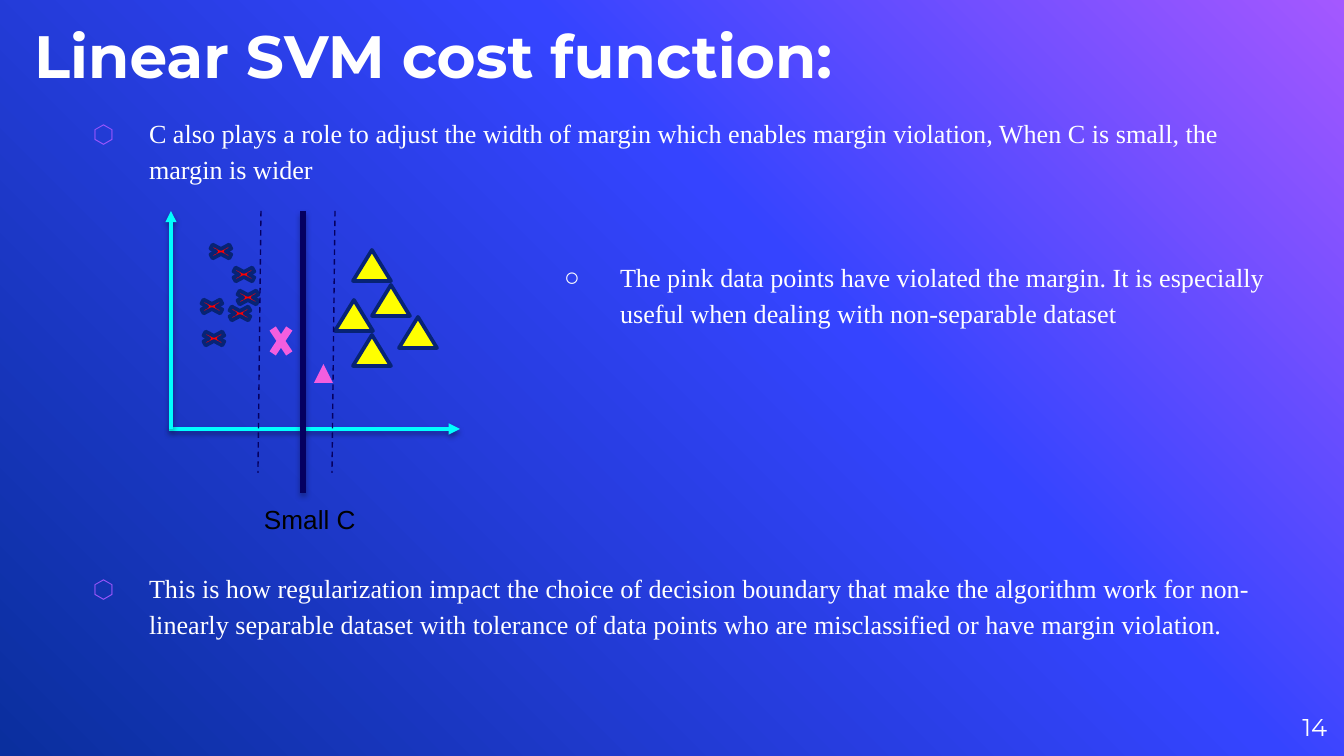
from copy import deepcopy
from dataclasses import dataclass

from lxml import etree
from pptx import Presentation
from pptx.dml.color import RGBColor
from pptx.enum.dml import MSO_LINE
from pptx.enum.shapes import MSO_CONNECTOR, MSO_SHAPE
from pptx.enum.text import MSO_ANCHOR, MSO_AUTO_SIZE, PP_ALIGN
from pptx.oxml.ns import qn
from pptx.util import Pt

TOP, MIDDLE, BOTTOM = MSO_ANCHOR.TOP, MSO_ANCHOR.MIDDLE, MSO_ANCHOR.BOTTOM
LEFT, RIGHT = PP_ALIGN.LEFT, PP_ALIGN.RIGHT
CROSS, TRIANGLE = MSO_SHAPE.MATH_MULTIPLY, MSO_SHAPE.ISOSCELES_TRIANGLE
STRAIGHT, DASH, FIXED = MSO_CONNECTOR.STRAIGHT, MSO_LINE.DASH, MSO_AUTO_SIZE.NONE
SCALE = 914400 / 134.4


@dataclass(frozen=True)
class Theme:
    white: str = "FFFFFF"
    black: str = "000000"
    violet: str = "A458FF"
    cyan: str = "00FFFF"
    red: str = "FF0000"
    yellow: str = "FFFF00"
    pink: str = "F45EDF"
    edge: str = "072375"
    navy: str = "050060"
    stops: tuple = ((0, "A458FF"), (0.39, "3544FF"), (1, "0A2F9E"))
    head: str = "Montserrat"
    body: str = "Times New Roman"
    plain: str = "Arial"
    big: int = 32
    mid: int = 14
    small: int = 13


T = Theme()

TITLE = "Linear SVM cost function:"
POINTS = [
    dict(text="C also plays a role to adjust the width of margin which enables "
              "margin violation, When C is small, the margin is wider",
         mark="⬡", tint=T.violet, indent=67, before=6),
    dict(text="The pink data points have violated the margin. It is especially "
              "useful when dealing with non-separable dataset",
         mark="○", tint=T.white, indent=538, before=38.6),
    dict(text="This is how regularization impact the choice of decision boundary "
              "that make the algorithm work for non-linearly separable dataset "
              "with tolerance of data points who are misclassified or have "
              "margin violation.",
         mark="⬡", tint=T.violet, indent=67, before=128),
]
LABEL, NUMBER = "Small C", "14"
AXES = [(169, 429, 460, 429), (171, 429, 171, 211)]
BORDER = (303, 211, 303, 493)
MARGINS = [(261, 211, 258, 473), (335, 211, 332, 473)]
MARKS = [
    dict(kind=CROSS, size=(36, 19), fill=T.red, edge=T.edge,
         spots=[(203, 242), (226, 265), (230, 288), (196, 329), (194, 297), (222, 304)]),
    dict(kind=TRIANGLE, size=(38, 31), fill=T.yellow, edge=T.edge,
         spots=[(335, 300), (353, 335), (372, 285), (353, 250), (399, 317)]),
]
STRAYS = [
    dict(kind=TRIANGLE, size=(19, 19), fill=T.pink, spots=[(314, 364)]),
    dict(kind=CROSS, size=(32, 48), fill=T.pink, spots=[(265, 317)]),
]


def px(n):
    return round(n * SCALE)


def rgb(code):
    return RGBColor.from_string(code)


def node(parent, tag, **attrs):
    return etree.SubElement(parent, qn(tag), {k: str(v) for k, v in attrs.items()})


def place(shape, x, y, w, h):
    shape.left, shape.top, shape.width, shape.height = map(px, (x, y, w, h))
    return shape


def frame(shape, anchor=TOP, inset=0, wrap=True):
    box = shape.text_frame
    box.auto_size, box.word_wrap, box.vertical_anchor = FIXED, wrap, anchor
    box.margin_left = box.margin_right = px(inset)
    box.margin_top = box.margin_bottom = px(inset / 2)
    return box


def write(para, text, font=T.body, size=T.mid, color=T.white, bold=False,
          align=LEFT, space=1, before=0, indent=0, mark=None, tint=T.white):
    para.alignment, para.line_spacing, para.space_before = align, space, Pt(before)
    run = para.add_run()
    run.text = text
    run.font.name, run.font.size, run.font.bold = font, Pt(size), bold
    run.font.color.rgb = rgb(color)
    if mark:
        props = para._p.get_or_add_pPr()
        props.set("marL", str(px(indent)))
        props.set("indent", str(px(-56)))
        node(node(props, "a:buClr"), "a:srgbClr", val=tint)
        node(props, "a:buFont", typeface=T.body)
        node(props, "a:buChar", char=mark)


def draw(slide, ends, color, width, arrow=False, dash=None, shade=0):
    line = slide.shapes.add_connector(STRAIGHT, *map(px, ends))
    line.line.color.rgb, line.line.width = rgb(color), Pt(width)
    if dash:
        line.line.dash_style = dash
    if arrow:
        node(line.line._get_or_add_ln(), "a:tailEnd", type="triangle")
    effects = node(line._element.spPr, "a:effectLst")
    if shade:
        cast = node(effects, "a:outerShdw", blurRad=Pt(3.1), dist=Pt(1.6),
                    dir=5400000, rotWithShape=0)
        node(node(cast, "a:srgbClr", val=T.black), "a:alpha", val=shade * 1000)


def plot(slide, kind, size, fill, spots, edge=None):
    for spot in spots:
        shape = slide.shapes.add_shape(kind, *map(px, spot + size))
        shape.shadow.inherit = False
        shape.fill.solid()
        shape.fill.fore_color.rgb = rgb(fill)
        if edge:
            shape.line.color.rgb, shape.line.width = rgb(edge), Pt(2)
        else:
            shape.line.fill.background()


def paint(slide):
    fill = slide.background.fill
    fill.gradient()
    fill.gradient_angle = 225
    last = slide._element.xpath(".//a:gs")[-1]
    last.addprevious(deepcopy(last))
    for stop, (spot, color) in zip(fill.gradient_stops, T.stops):
        stop.position, stop.color.rgb = spot, rgb(color)


def main():
    deck = Presentation()
    deck.slide_width, deck.slide_height = px(1344), px(756)
    slide = deck.slides.add_slide(deck.slide_layouts[1])
    paint(slide)

    title = frame(place(slide.shapes.title, 34, 28, 884, 63), BOTTOM)
    write(title.paragraphs[0], TITLE, font=T.head, size=T.big, bold=True)

    body = frame(place(slide.placeholders[1], 82, 113, 1189, 598))
    for i, point in enumerate(POINTS):
        para = body.add_paragraph() if i else body.paragraphs[0]
        write(para, space=1.15, **point)

    page = frame(slide.shapes.add_textbox(*map(px, (1246, 698, 81, 58))), MIDDLE)
    write(page.paragraphs[0], NUMBER, font=T.head, size=T.small, align=RIGHT)

    for ends in AXES:
        draw(slide, ends, T.cyan, 2, arrow=True, shade=38)
    for group in MARKS:
        plot(slide, **group)
    draw(slide, BORDER, T.navy, 3, shade=35)
    for ends in MARGINS:
        draw(slide, ends, T.navy, 0.75, dash=DASH)

    label = frame(slide.shapes.add_textbox(*map(px, (251, 497, 120, 46))),
                  inset=13, wrap=False)
    write(label.paragraphs[0], LABEL, font=T.plain, color=T.black)
    for group in STRAYS:
        plot(slide, **group)

    deck.save("out.pptx")


if __name__ == "__main__":
    main()
